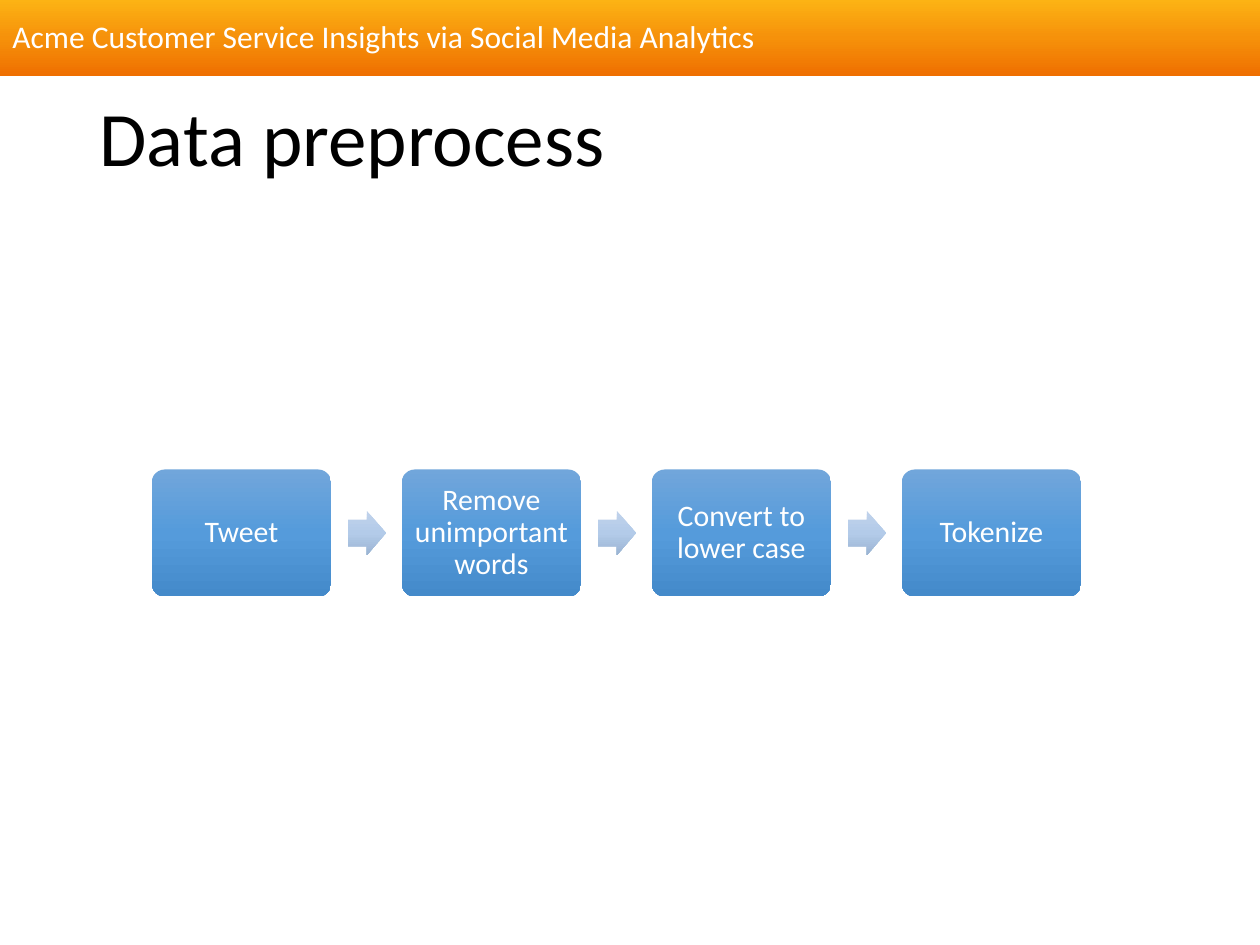
"""Build a slide with a banner, a title and a four-step flow of data preparation."""
from copy import deepcopy

from pptx import Presentation, util as u
from pptx.dml.color import RGBColor
from pptx.enum import shapes, text
from pptx.oxml.ns import qn

BANNER = "Acme Customer Service Insights via Social Media Analytics"
TITLE = "Data preprocess"
STEPS = ["Tweet", "Remove unimportant words", "Convert to lower case", "Tokenize"]

BLACK = RGBColor(0x00, 0x00, 0x00)
WHITE = RGBColor(0xFF, 0xFF, 0xFF)
ORANGE = [RGBColor(0xFC, 0xB3, 0x14), RGBColor(0xF6, 0x91, 0x0A), RGBColor(0xEF, 0x6F, 0x00)]
BLUE = [RGBColor(0x71, 0xA6, 0xDB), RGBColor(0x55, 0x9B, 0xDB), RGBColor(0x44, 0x8A, 0xCA)]
PALE = [RGBColor(0xC0, 0xD2, 0xEB), RGBColor(0xB3, 0xCB, 0xE9), RGBColor(0x9B, 0xB4, 0xD3)]

PX = 914400 / 126
LEFT, PITCH, MID = 152, 250, 533
BOX_W, BOX_H = 179, 127
ARROW_W, ARROW_H, ARROW_DX = 38, 44, 196
PAD = 8


def emu(*vals):
    return [u.Emu(round(v * PX)) for v in vals]


def style(obj, vals):
    for name, val in vals.items():
        setattr(obj, name, val)


def write(shape, words, size, color, align):
    frame = shape.text_frame
    style(frame, {"text": words, "word_wrap": True,
                  "vertical_anchor": text.MSO_ANCHOR.MIDDLE})
    para = frame.paragraphs[0]
    style(para, {"alignment": align, "line_spacing": 0.9})
    style(para.runs[0].font, {"name": "Calibri", "size": u.Pt(size)})
    para.runs[0].font.color.rgb = color
    return frame


def draw(slide, kind, rect, colors, adjust=()):
    shape = slide.shapes.add_shape(kind, *emu(*rect))
    shape.shadow.inherit = False
    shape.line.fill.background()
    for i, val in enumerate(adjust):
        shape.adjustments[i] = val
    fill = shape.fill
    fill.gradient()
    fill.gradient_angle = 270
    stops = shape._element.spPr.find(qn("a:gradFill")).find(qn("a:gsLst"))
    stops.insert(1, deepcopy(stops[0]))
    for i, (stop, color) in enumerate(zip(fill.gradient_stops, colors)):
        stop.position = i / 2
        stop.color.rgb = color
    return shape


def main():
    deck = Presentation()
    deck.slide_width, deck.slide_height = emu(1260, 945)
    slide = deck.slides.add_slide(deck.slide_layouts[5])
    kinds, align = shapes.MSO_SHAPE, text.PP_ALIGN

    title = slide.shapes.title
    style(title, dict(zip(("left", "top", "width", "height"), emu(87, 50, 1086, 183))))
    write(title, TITLE, 44, BLACK, align.LEFT)

    bar = draw(slide, kinds.RECTANGLE, (0, 0, 1260, 76), ORANGE)
    write(bar, BANNER, 18, WHITE, align.LEFT)

    for i, step in enumerate(STEPS):
        x = LEFT + i * PITCH
        box = draw(slide, kinds.ROUNDED_RECTANGLE,
                   (x, MID - BOX_H / 2, BOX_W, BOX_H), BLUE, [0.1])
        frame = write(box, step, 17, WHITE, align.CENTER)
        pad = emu(PAD)[0]
        style(frame, {f"margin_{side}": pad for side in ("left", "top", "right", "bottom")})
        if i < len(STEPS) - 1:
            draw(slide, kinds.RIGHT_ARROW,
                 (x + ARROW_DX, MID - ARROW_H / 2, ARROW_W, ARROW_H), PALE, [0.6, 0.5])

    deck.save("out.pptx")


if __name__ == "__main__":
    main()
